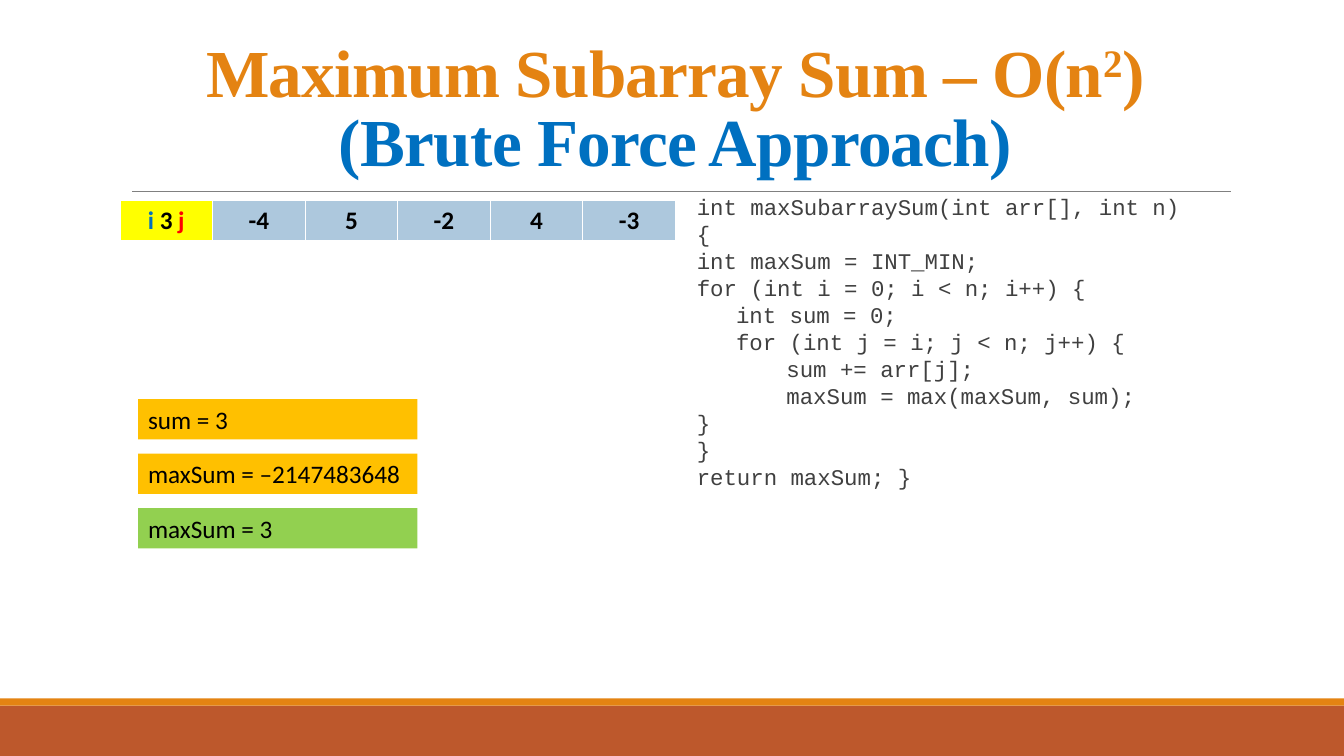
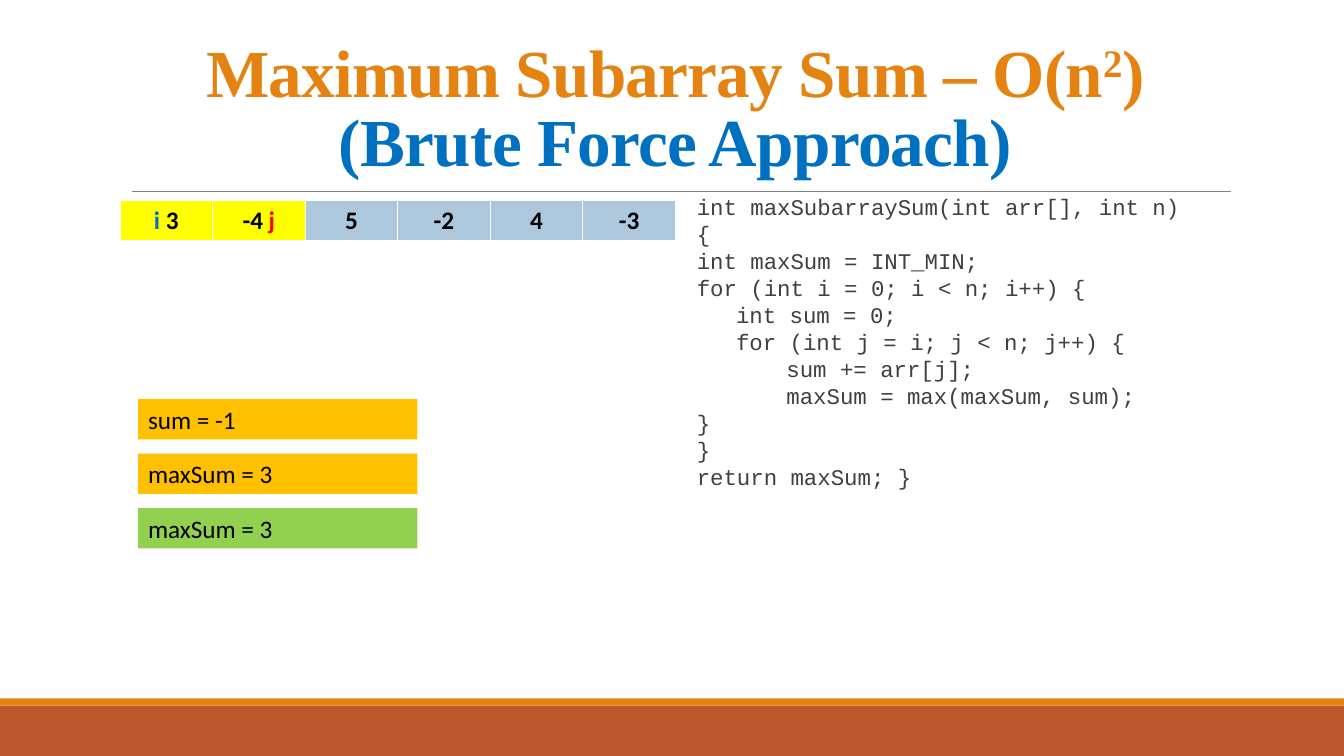
from lxml import etree
from pptx import Presentation
from pptx.dml.color import RGBColor
from pptx.enum import shapes, text
from pptx.oxml.ns import qn
from pptx.util import Inches, Pt

ORANGE, RUST, BLUE, RED = "E48312", "BD582C", "0070C0", "FF0000"
YELLOW, PALE_BLUE, AMBER, GREEN = "FFFF00", "ADC8DD", "FFC000", "92D050"
BLACK, WHITE, CODE_GREY, RULE_GREY = "000000", "FFFFFF", "404040", "808080"

CODE = [
    "int maxSubarraySum(int arr[], int n)",
    "{",
    "int maxSum = INT_MIN;",
    "for (int i = 0; i < n; i++) {",
    "\tint sum = 0;",
    "\tfor (int j = i; j < n; j++) {",
    " \t\tsum += arr[j];",
    "\t\tmaxSum = max(maxSum, sum);",
    "}",
    "}",
    "return maxSum; }",
]
ARRAY = [3, -4, 5, -2, 4, -3]
I_INDEX = 0
# Index j, then the variables shown at that step
STEPS = [
    (0, ["sum = 3", "maxSum = –2147483648", "maxSum = 3"]),
    (1, ["sum = -1", "maxSum = 3", "maxSum = 3"]),
]
BORDERS = {"a:lnL": 1, "a:lnR": 1, "a:lnT": 1, "a:lnB": 3}


def color(hex_code):
    return RGBColor.from_string(hex_code)


def add_block(page, left, top, width, height, fill):
    block = page.shapes.add_shape(
        shapes.MSO_SHAPE.RECTANGLE, Inches(left), Inches(top), Inches(width), Inches(height))
    block.shadow.inherit = False
    block.fill.solid()
    block.fill.fore_color.rgb = color(fill)
    block.line.fill.background()
    return block


deck = Presentation()
deck.slide_width, deck.slide_height = Inches(13.33), Inches(7.5)

for j_index, variables in STEPS:
    page = deck.slides.add_slide(deck.slide_layouts[6])

    # Footer bands and title rule
    add_block(page, 0, 7, 13.33, 0.5, RUST)
    add_block(page, 0, 6.93, 13.33, 0.07, ORANGE)
    rule = page.shapes.add_connector(
        shapes.MSO_CONNECTOR.STRAIGHT, Inches(1.31), Inches(1.9), Inches(12.21), Inches(1.9))
    rule.line.color.rgb = color(RULE_GREY)
    rule.line.width = Pt(0.5)
    etree.SubElement(rule._element.spPr, qn("a:effectLst"))

    # Title
    title = page.shapes.add_textbox(Inches(1.2), Inches(0.31), Inches(11), Inches(1.59))
    title.text_frame.word_wrap = True
    title.text_frame.vertical_anchor = text.MSO_ANCHOR.MIDDLE
    para = title.text_frame.paragraphs[0]
    para.alignment = text.PP_ALIGN.CENTER
    para.line_spacing = 0.85
    para.font.name, para.font.size, para.font.bold = "Times New Roman", Pt(48), True
    para.font.color.rgb = color(ORANGE)
    para._p.get_or_add_pPr().get_or_add_defRPr().set("spc", "-50")
    para.add_run().text = "Maximum Subarray Sum – O(n"
    exponent = para.add_run()
    exponent.text = "2"
    exponent._r.get_or_add_rPr().set("baseline", "30000")
    para.add_run().text = ")"
    para.add_line_break()
    approach = para.add_run()
    approach.text = "(Brute Force Approach)"
    approach.font.color.rgb = color(BLUE)

    # Array with the visited part highlighted
    table = page.shapes.add_table(
        1, len(ARRAY), Inches(1.19), Inches(1.99), Inches(5.51), Inches(0.41)).table
    table.first_row = table.horz_banding = False
    for index, value in enumerate(ARRAY):
        cell = table.cell(0, index)
        cell.vertical_anchor = text.MSO_ANCHOR.MIDDLE
        for tag, points in BORDERS.items():
            border = etree.SubElement(cell._tc.get_or_add_tcPr(), qn(tag), w=str(Pt(points)))
            border_fill = etree.SubElement(border, qn("a:solidFill"))
            etree.SubElement(border_fill, qn("a:srgbClr"), val=WHITE)
        cell.fill.solid()
        cell.fill.fore_color.rgb = color(YELLOW if I_INDEX <= index <= j_index else PALE_BLUE)

        para = cell.text_frame.paragraphs[0]
        para.alignment = text.PP_ALIGN.CENTER
        para.font.name, para.font.size, para.font.bold = "Calibri", Pt(18), True
        parts = [(str(value), BLACK)]
        if index == I_INDEX:
            parts.insert(0, ("i ", BLUE))
        if index == j_index:
            parts.append((" j", RED))
        for words, hue in parts:
            span = para.add_run()
            span.text = words
            span.font.color.rgb = color(hue)

    # Code
    listing = page.shapes.add_textbox(Inches(6.8), Inches(1.9), Inches(6.29), Inches(4.52))
    frame = listing.text_frame
    frame.word_wrap = True
    frame.margin_left = frame.margin_right = 0
    for number, line in enumerate(CODE):
        para = frame.add_paragraph() if number else frame.paragraphs[0]
        para.add_run().text = line
        props = para._p.get_or_add_pPr()
        props.set("marL", str(Inches(0.1)))
        props.set("indent", str(Inches(-0.1)))
        etree.SubElement(props, qn("a:buChar"), char=" ")
        para.line_spacing = 0.9
        para.space_after = Pt(2)
        para.font.name, para.font.size = "Courier New", Pt(16)
        para.font.color.rgb = color(CODE_GREY)

    # Variables
    for row, (words, fill) in enumerate(zip(variables, [AMBER, AMBER, GREEN])):
        box = add_block(page, 1.37, 3.96 + 0.54 * row, 2.77, 0.4, fill)
        box.text_frame.word_wrap = True
        box.text_frame.vertical_anchor = text.MSO_ANCHOR.TOP
        para = box.text_frame.paragraphs[0]
        para.text = words
        para.alignment = text.PP_ALIGN.LEFT
        para.font.name, para.font.size = "Calibri", Pt(18)
        para.font.color.rgb = color(BLACK)

deck.save("out.pptx")
